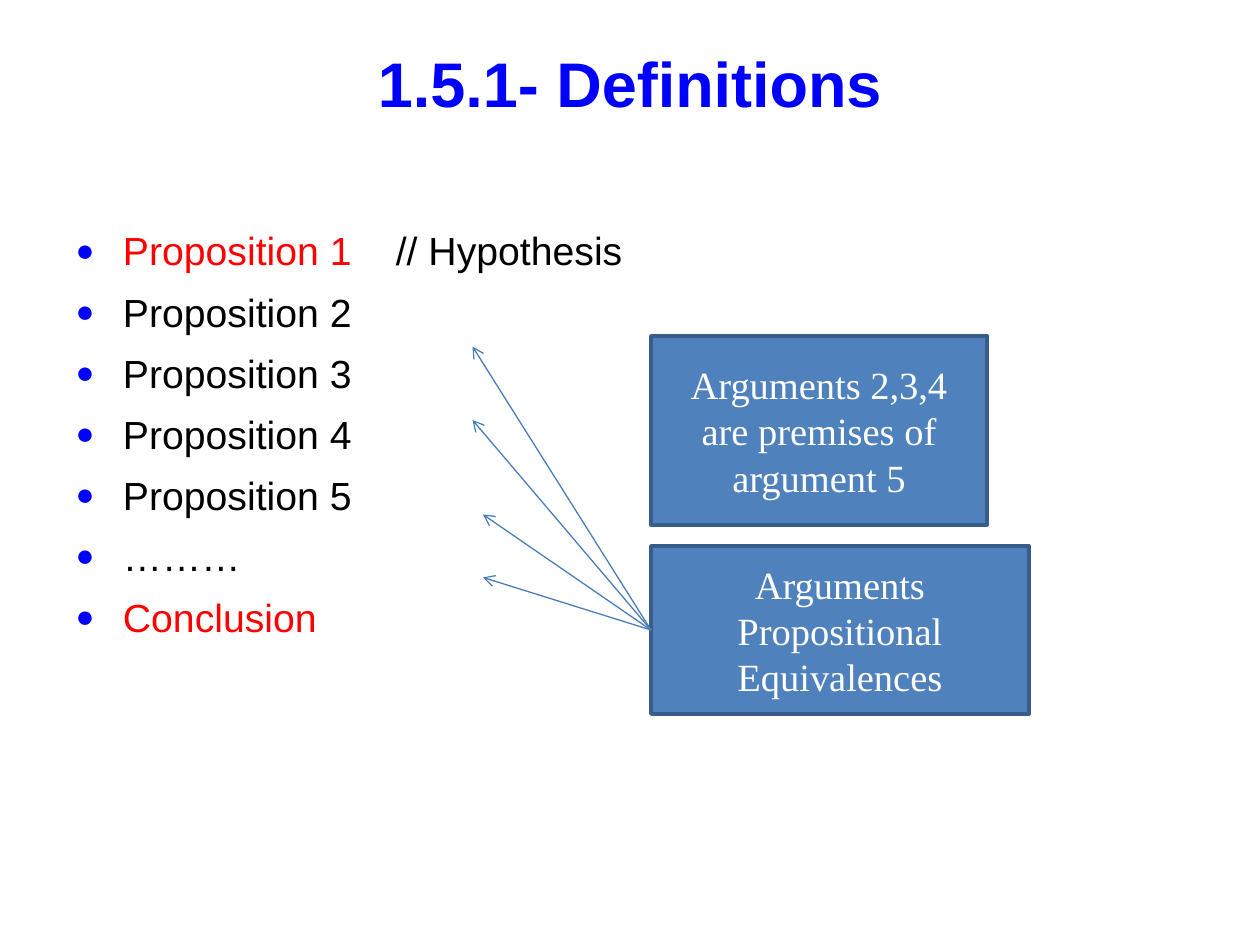
import pptx
import pptx.dml.color
import pptx.enum.shapes
import pptx.enum.text
import pptx.oxml
import pptx.oxml.ns
import pptx.util

Pt = pptx.util.Pt
RGBColor = pptx.dml.color.RGBColor
ALIGN = pptx.enum.text.PP_ALIGN
ANCHOR = pptx.enum.text.MSO_ANCHOR

BLUE = RGBColor(0x00, 0x00, 0xFF)
RED = RGBColor(0xFF, 0x00, 0x00)
BLACK = RGBColor(0x00, 0x00, 0x00)
WHITE = RGBColor(0xFF, 0xFF, 0xFF)
BOX_FILL = RGBColor(0x4F, 0x81, 0xBD)
BOX_LINE = RGBColor(0x38, 0x5D, 0x8A)
ARROW_LINE = RGBColor(0x4A, 0x7E, 0xBB)

TITLE = "1.5.1- Definitions"
STEPS = [
    [("Proposition 1", RED), ("\t// Hypothesis", BLACK)],
    [("Proposition 2", BLACK)],
    [("Proposition 3", BLACK)],
    [("Proposition 4", BLACK)],
    [("Proposition 5", BLACK)],
    [("………", BLACK)],
    [("Conclusion", RED)],
]
PREMISES = ["Arguments 2,3,4 are premises of argument 5"]
EQUIVALENCES = ["Arguments", "Propositional Equivalences"]
ARROW_TIPS = [(276, 330), (276, 294), (270, 240), (270, 198)]

INDENT = 27
COMMENT_TAB = 183


def place(shape, left, top, width, height):
    shape.left, shape.top = Pt(left), Pt(top)
    shape.width, shape.height = Pt(width), Pt(height)


def add_span(para, text, font, size, color, bold=False):
    span = para.add_run()
    span.text = text
    span.font.name = font
    span.font.size = Pt(size)
    span.font.bold = bold
    span.font.color.rgb = color


def append_xml(parent, tag, content="", **attributes):
    fields = "".join(f' {key}="{value}"' for key, value in attributes.items())
    namespace = pptx.oxml.ns.nsdecls("a")
    parent.append(pptx.oxml.parse_xml(
        f"<a:{tag} {namespace}{fields}>{content}</a:{tag}>"))


def add_bullet(para):
    properties = para._p.get_or_add_pPr()
    properties.set("marL", str(Pt(INDENT)))
    properties.set("indent", str(-Pt(INDENT)))
    append_xml(properties, "buClr", f'<a:srgbClr val="{BLUE}"/>')
    append_xml(properties, "buSzPct", val=80000)
    append_xml(properties, "buFont", typeface="Arial")
    append_xml(properties, "buChar", char="●")
    append_xml(properties, "tabLst", f'<a:tab pos="{Pt(COMMENT_TAB)}" algn="l"/>')


def add_box(page, lines, left, top, width, height):
    box = page.shapes.add_shape(
        pptx.enum.shapes.MSO_SHAPE.RECTANGLE,
        Pt(left), Pt(top), Pt(width), Pt(height))
    box.shadow.inherit = False
    box.fill.solid()
    box.fill.fore_color.rgb = BOX_FILL
    box.line.color.rgb = BOX_LINE
    box.line.width = Pt(2)
    frame = box.text_frame
    frame.word_wrap = True
    frame.vertical_anchor = ANCHOR.MIDDLE
    for index, line in enumerate(lines):
        para = frame.add_paragraph() if index else frame.paragraphs[0]
        para.alignment = ALIGN.CENTER
        add_span(para, line, "Times New Roman", 22, WHITE)
    return box


def add_arrow(page, box, tip):
    x, y = map(Pt, tip)
    arrow = page.shapes.add_connector(
        pptx.enum.shapes.MSO_CONNECTOR.STRAIGHT, x, y, x, y)
    arrow.begin_connect(box, 1)
    arrow.line.color.rgb = ARROW_LINE
    arrow.line.width = Pt(0.75)
    append_xml(arrow.line._get_or_add_ln(), "tailEnd", type="arrow")
    append_xml(arrow._element.spPr, "effectLst")


def main():
    deck = pptx.Presentation()
    deck.slide_width, deck.slide_height = Pt(720), Pt(540)
    page = deck.slides.add_slide(deck.slide_layouts[1])
    title, body = page.placeholders

    place(title, 36, 21.6, 648, 50.4)
    title.text_frame.auto_size = pptx.enum.text.MSO_AUTO_SIZE.NONE
    title.text_frame.vertical_anchor = ANCHOR.MIDDLE
    heading = title.text_frame.paragraphs[0]
    heading.alignment = ALIGN.CENTER
    add_span(heading, TITLE, "Arial", 36, BLUE, bold=True)

    place(body, 36, 126, 648, 252)
    frame = body.text_frame
    frame.auto_size = pptx.enum.text.MSO_AUTO_SIZE.NONE
    for index, step in enumerate(STEPS):
        para = frame.add_paragraph() if index else frame.paragraphs[0]
        add_bullet(para)
        para.space_before = Pt(8 if index else 0)
        for text, color in step:
            add_span(para, text, "Arial", 22.4, color)

    equivalences = add_box(page, EQUIVALENCES, 372, 312, 216, 96)
    for tip in ARROW_TIPS:
        add_arrow(page, equivalences, tip)
    add_box(page, PREMISES, 372, 192, 192, 108)

    deck.save("out.pptx")


if __name__ == "__main__":
    main()
